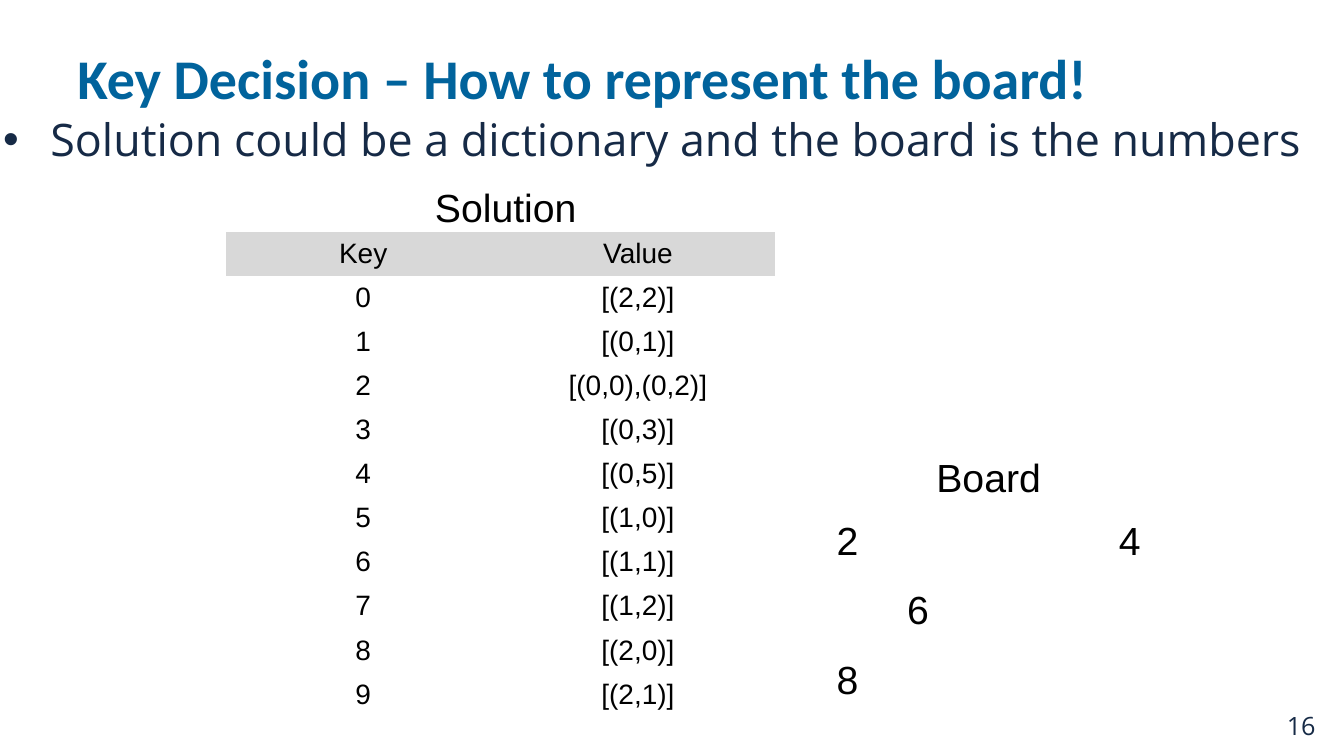
import dataclasses

import lxml.etree
import pptx
import pptx.dml.color
import pptx.enum.text
import pptx.oxml.ns
import pptx.util

Cm = pptx.util.Cm
ALIGN = pptx.enum.text.PP_ALIGN
ANCHOR = pptx.enum.text.MSO_ANCHOR
PLAIN_TABLE_STYLE = "{2D5ABB26-0587-4C30-8999-92F81FD0307C}"


@dataclasses.dataclass(frozen=True)
class TextStyle:
    font: str
    size: int
    color: str
    bold: bool = False


@dataclasses.dataclass(frozen=True)
class Theme:
    title: TextStyle = TextStyle("Calibri", 40, "01639C", True)
    body: TextStyle = TextStyle("Open Sans", 32, "162A46")
    number: TextStyle = TextStyle("Open Sans", 18, "162A46")
    label: TextStyle = TextStyle("Arial", 28, "000000")
    entry: TextStyle = TextStyle("Arial", 20, "000000")
    header_fill: str = "D8D8D8"


@dataclasses.dataclass(frozen=True)
class Box:
    left: float
    top: float
    width: float
    height: float


THEME = Theme()
SOLUTION = [
    ("Key", "Value"),
    ("0", "[(2,2)]"),
    ("1", "[(0,1)]"),
    ("2", "[(0,0),(0,2)]"),
    ("3", "[(0,3)]"),
    ("4", "[(0,5)]"),
    ("5", "[(1,0)]"),
    ("6", "[(1,1)]"),
    ("7", "[(1,2)]"),
    ("8", "[(2,0)]"),
    ("9", "[(2,1)]"),
]
BOARD_TOP = [("2", "", "", "", "4")]
BOARD_REST = [("", "6", ""), ("8", "", "")]


def rgb(color):
    return pptx.dml.color.RGBColor.from_string(color)


def style_font(font, style):
    font.name = style.font
    font.size = pptx.util.Pt(style.size)
    font.bold = style.bold
    font.color.rgb = rgb(style.color)


def add_text(slide, box, text, style, align=ALIGN.LEFT, anchor=ANCHOR.TOP):
    shape = slide.shapes.add_textbox(
        Cm(box.left), Cm(box.top), Cm(box.width), Cm(box.height))
    frame = shape.text_frame
    frame.word_wrap = True
    frame.vertical_anchor = anchor
    frame.text = text
    paragraph = frame.paragraphs[0]
    paragraph.alignment = align
    style_font(paragraph.runs[0].font, style)
    return paragraph


def add_bullet(slide, box, text):
    paragraph = add_text(slide, box, text, THEME.body)
    properties = paragraph._p.get_or_add_pPr()
    properties.set("marL", str(Cm(1.27)))
    properties.set("indent", str(Cm(-1.19)))
    qn = pptx.oxml.ns.qn
    bullet_color = lxml.etree.SubElement(properties, qn("a:buClr"))
    lxml.etree.SubElement(bullet_color, qn("a:srgbClr"), val=THEME.body.color)
    lxml.etree.SubElement(properties, qn("a:buFont"), typeface="Arial")
    lxml.etree.SubElement(properties, qn("a:buChar"), char="•")


def add_grid(slide, box, rows, style, header_fill=None):
    column_count = len(rows[0])
    table = slide.shapes.add_table(
        len(rows), column_count, Cm(box.left), Cm(box.top),
        Cm(box.width), Cm(box.height)).table
    table.first_row = False
    table.horz_banding = False
    table._tbl.tblPr.find(pptx.oxml.ns.qn("a:tableStyleId")).text = PLAIN_TABLE_STYLE
    for row_index, values in enumerate(rows):
        for column_index, value in enumerate(values):
            cell = table.cell(row_index, column_index)
            cell.vertical_anchor = ANCHOR.MIDDLE
            cell.text = value
            paragraph = cell.text_frame.paragraphs[0]
            paragraph.alignment = ALIGN.CENTER
            style_font(paragraph.font, style)
            for run in paragraph.runs:
                style_font(run.font, style)
            if header_fill and row_index == 0:
                cell.fill.solid()
                cell.fill.fore_color.rgb = rgb(header_fill)
            else:
                cell.fill.background()


def add_solution(slide, box):
    label_width, label_height = 7.65, 1.35
    label = Box(box.left + 3.23, box.top, label_width, label_height)
    add_text(slide, label, "Solution", THEME.label, ALIGN.CENTER)
    grid = Box(box.left, box.top + label_height, box.width, box.height - label_height)
    add_grid(slide, grid, SOLUTION, THEME.entry, THEME.header_fill)


def add_board(slide, box):
    label_width, label_height = 7.65, 1.47
    cell_size = box.width / 5
    label = Box(box.left + (box.width - label_width) / 2, box.top,
                label_width, label_height)
    add_text(slide, label, "Board", THEME.label, ALIGN.CENTER)
    grid_top = box.top + label_height
    row_height = (box.height - label_height) / 3
    for first_row, rows in ((0, BOARD_TOP), (1, BOARD_REST)):
        grid = Box(box.left, grid_top + first_row * row_height,
                   cell_size * len(rows[0]), row_height * len(rows))
        add_grid(slide, grid, rows, THEME.label)


def add_decision_slide(presentation):
    slide = presentation.slides.add_slide(presentation.slide_layouts[6])
    add_text(slide, Box(32.18, 17.78, 1.27, 1.02), "16", THEME.number)
    add_text(slide, Box(1.7, 0.15, 30.48, 3.61),
             "Key Decision – How to represent the board!",
             THEME.title, anchor=ANCHOR.MIDDLE)
    add_bullet(slide, Box(-0.25, 2.69, 33.66, 12.78),
               "Solution could be a dictionary and the board is the numbers")
    add_board(slide, Box(20.47, 11.3, 8.89, 6.73))
    add_solution(slide, Box(5.69, 4.5, 13.85, 13.55))


def main():
    presentation = pptx.Presentation()
    presentation.slide_width = Cm(33.87)
    presentation.slide_height = Cm(19.05)
    add_decision_slide(presentation)
    presentation.save("out.pptx")


if __name__ == "__main__":
    main()
